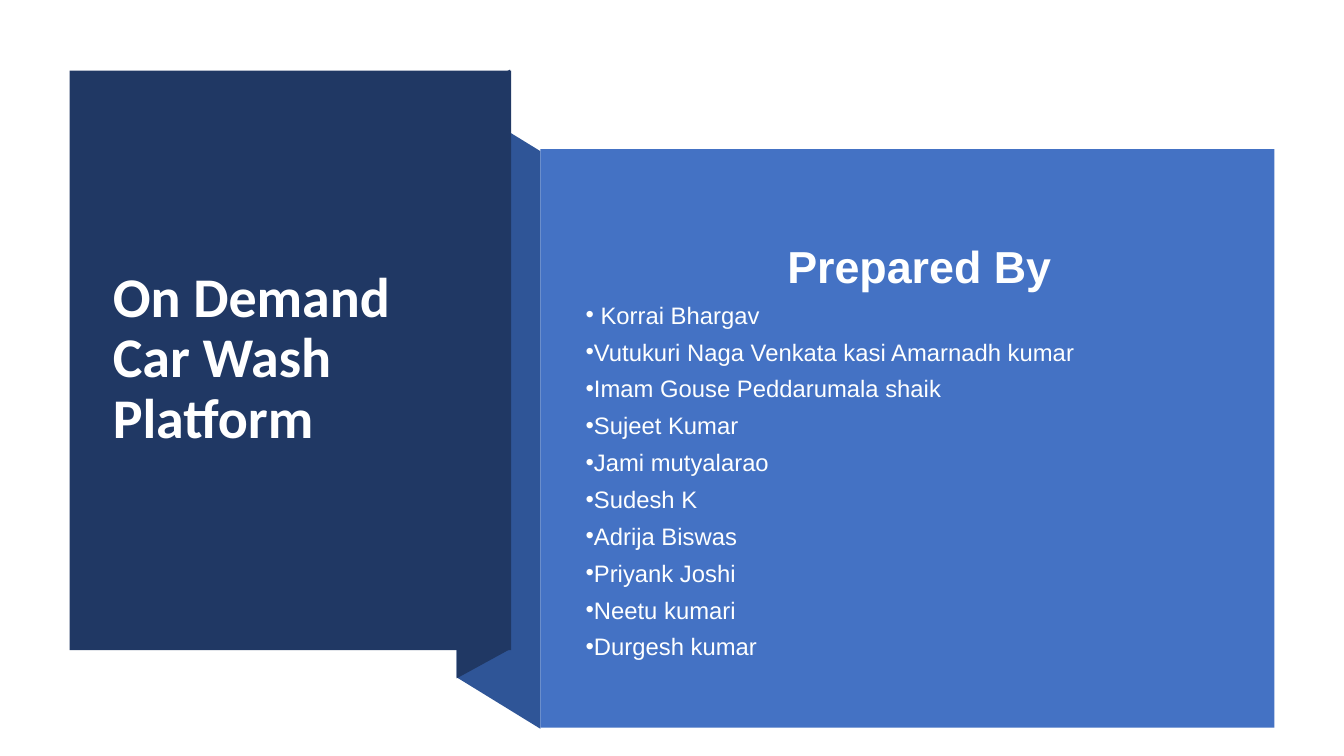
from pptx import Presentation, util as u
from pptx.dml.color import RGBColor
from pptx.enum import shapes, text
from pptx.oxml.ns import qn
from lxml import etree

HUES = {"navy": "203864", "fold": "2F5597", "blue": "4472C4",
        "white": "FFFFFF", "pale": "FEFFFF"}
NAMES = [" Korrai Bhargav", "Vutukuri Naga Venkata kasi Amarnadh kumar",
         "Imam Gouse Peddarumala shaik", "Sujeet Kumar", "Jami mutyalarao",
         "Sudesh K", "Adrija Biswas", "Priyank Joshi", "Neetu kumari",
         "Durgesh kumar"]


class Deck:
    def __init__(self):
        self.prs = Presentation()
        self.prs.slide_width = u.Inches(13.33)
        self.prs.slide_height = u.Inches(7.5)
        self.slide = self.prs.slides.add_slide(self.prs.slide_layouts[6])

    def paint(self, shape, hue):
        shape.shadow.inherit = False
        shape.fill.solid()
        shape.fill.fore_color.rgb = RGBColor.from_string(HUES[hue])
        shape.line.fill.background()

    def panel(self, box, hue):
        shape = self.slide.shapes.add_shape(
            shapes.MSO_SHAPE.RECTANGLE, *map(u.Inches, box))
        self.paint(shape, hue)

    def fold(self, points, hue):
        spots = [(u.Inches(x), u.Inches(y)) for x, y in points]
        path = self.slide.shapes.build_freeform(*spots[0])
        path.add_line_segments(spots[1:], close=True)
        self.paint(path.convert_to_shape(), hue)

    def frame(self, box, anchor):
        frame = self.slide.shapes.add_textbox(*map(u.Inches, box)).text_frame
        frame.word_wrap = True
        frame.vertical_anchor = anchor
        return frame

    def style(self, para, size, face, hue, bold, lead):
        para.line_spacing = lead
        for run in para.runs:
            run.font.size = u.Pt(size)
            run.font.name = face
            run.font.bold = bold
            run.font.color.rgb = RGBColor.from_string(HUES[hue])

    def title(self, box, words):
        para = self.frame(box, text.MSO_ANCHOR.MIDDLE).paragraphs[0]
        para.text = words
        self.style(para, 40, "Calibri", "white", True, 0.9)

    def roster(self, box, head, names):
        frame = self.frame(box, text.MSO_ANCHOR.TOP)
        para = frame.paragraphs[0]
        para.text = head
        para._p.get_or_add_pPr().set("marL", str(u.Inches(2)))
        self.style(para, 32, "Arial", "pale", True, 0.8)
        for name in names:
            para = frame.add_paragraph()
            para.text = name
            props = para._p.get_or_add_pPr()
            props.set("marL", "0")
            props.set("indent", str(-u.Inches(0.25)))
            etree.SubElement(props, qn("a:buFont")).set("typeface", "Arial")
            etree.SubElement(props, qn("a:buChar")).set("char", "•")
            para.space_before = u.Pt(10)
            self.style(para, 17, "Arial", "pale", False, 0.8)


def main():
    deck = Deck()
    deck.fold([(5.36, 7.23), (4.53, 6.72), (4.53, 0.99), (5.36, 1.5)], "fold")
    deck.fold([(5.06, 6.44), (4.53, 6.73), (4.53, 0.98), (5.06, 0.69)], "navy")
    deck.panel((0.69, 0.7, 4.38, 5.75), "navy")
    deck.title((1.02, 1.07, 3.71, 4.99), "On Demand Car Wash Platform")
    deck.panel((5.36, 1.48, 7.28, 5.74), "blue")
    deck.roster((5.71, 2.42, 6.51, 4.2), "Prepared By", NAMES)
    deck.prs.save("out.pptx")


if __name__ == "__main__":
    main()
